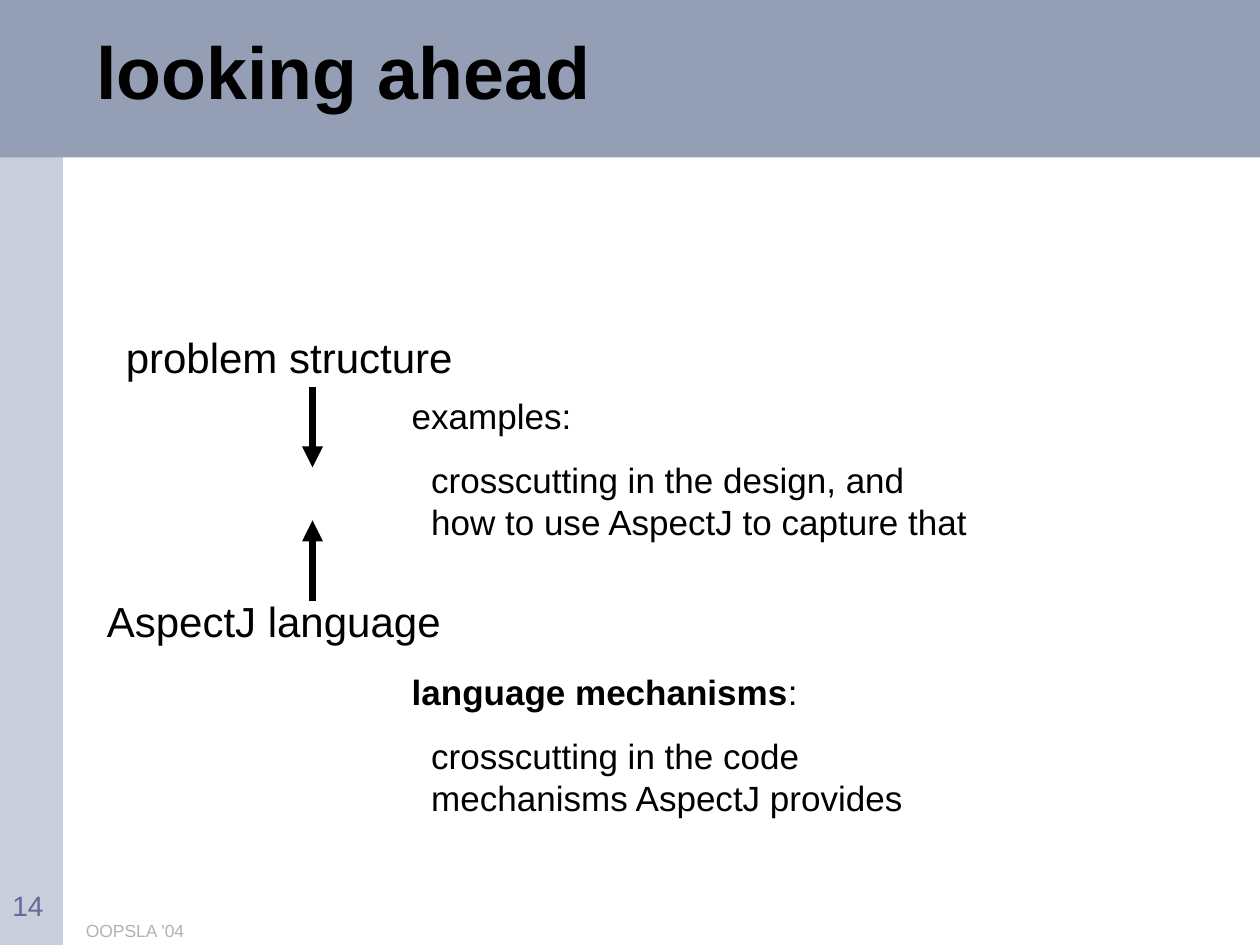
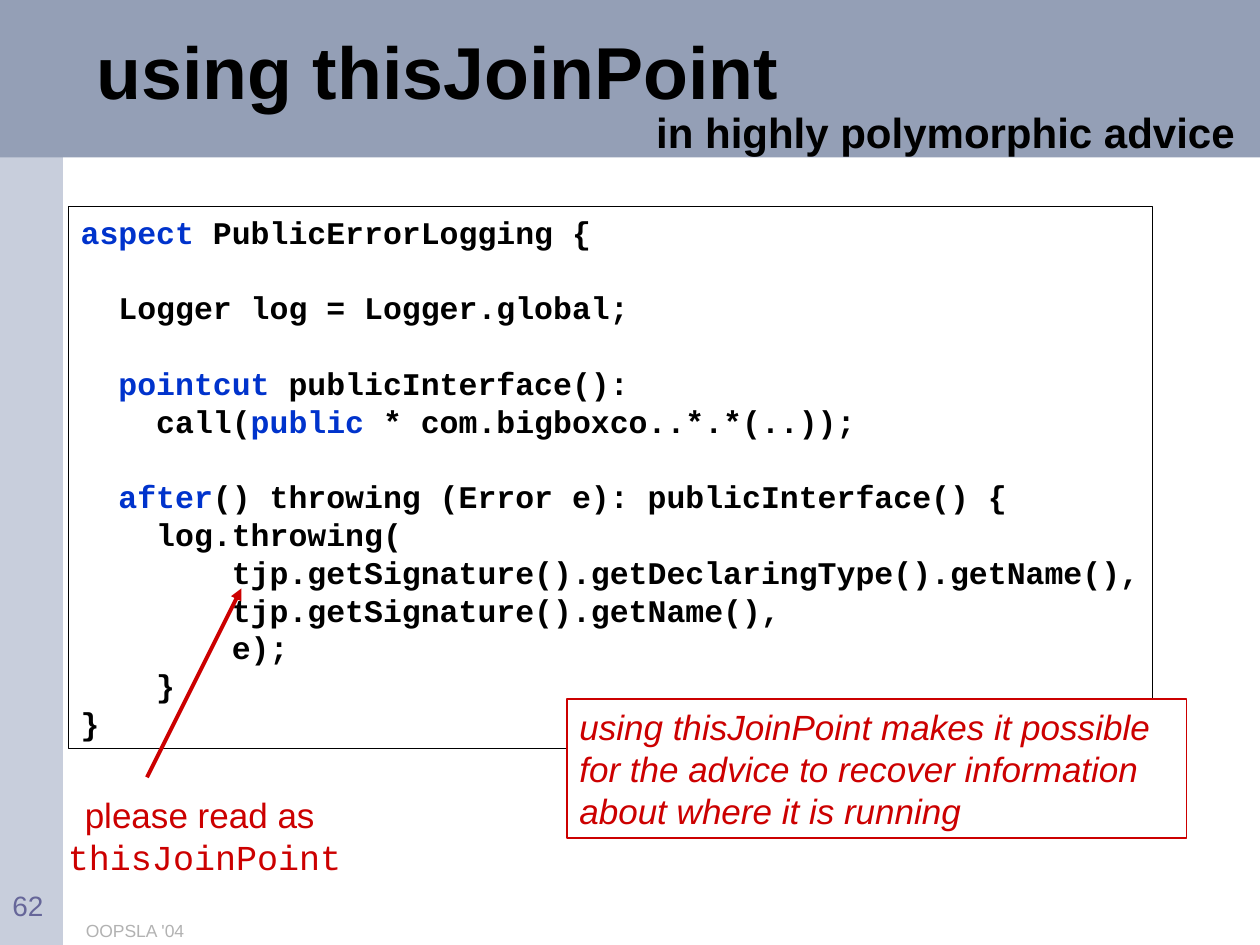
from dataclasses import dataclass

from lxml import etree
from pptx import Presentation
from pptx.dml.color import RGBColor
from pptx.enum.shapes import MSO_CONNECTOR, MSO_SHAPE
from pptx.enum.text import MSO_ANCHOR, MSO_AUTO_SIZE, PP_ALIGN
from pptx.oxml.ns import qn
from pptx.util import Pt

LEFT, CENTER, RIGHT = PP_ALIGN.LEFT, PP_ALIGN.CENTER, PP_ALIGN.RIGHT
TOP, MIDDLE = MSO_ANCHOR.TOP, MSO_ANCHOR.MIDDLE
NO_AUTOSIZE = MSO_AUTO_SIZE.NONE
RECTANGLE = MSO_SHAPE.RECTANGLE
STRAIGHT = MSO_CONNECTOR.STRAIGHT
TITLE_ONLY = 5


@dataclass(frozen=True)
class Theme:
    sans: str = "Arial"
    mono: str = "Courier New"
    black: str = "000000"
    white: str = "FFFFFF"
    side_band: str = "C8CEDC"
    top_band: str = "949FB6"
    keyword: str = "0033CC"
    accent: str = "CC0000"
    footer: str = "B2B2B2"
    number: str = "666699"
    title_size: int = 42
    label_size: int = 24
    note_size: int = 20
    code_size: int = 18
    number_size: int = 16
    footer_size: int = 10
    leading: float = 1.2
    mono_width: float = 0.6


T = Theme()
WIDTH, HEIGHT = 720, 540
TOP_BAND = (0, 0, WIDTH, 90)
SIDE_BAND = (0, 0, 36, HEIGHT)
TITLE_BOX = (48, 6, 600, 75.6)

# indent in characters, blank lines above, text before keyword, keyword, rest
CODE = [
    (0, 0, "", "aspect", " PublicErrorLogging {"),
    (2, 1, "Logger log = Logger.global;", "", ""),
    (2, 1, "", "pointcut", " publicInterface():"),
    (4, 0, "call(", "public", " * com.bigboxco..*.*(..));"),
    (2, 1, "", "after", "() throwing (Error e): publicInterface() {"),
    (4, 0, "log.throwing(", "", ""),
    (8, 0, "tjp.getSignature().getDeclaringType().getName(),", "", ""),
    (8, 0, "tjp.getSignature().getName(),", "", ""),
    (8, 0, "e);", "", ""),
    (4, 0, "}", "", ""),
    (0, 0, "}", "", ""),
]


def rgb(value):
    return RGBColor.from_string(value)


def points(*values):
    return [Pt(v) for v in values]


def style_run(r, size, color=T.black, font=T.sans, bold=False, italic=False):
    r.font.name = font
    r.font.size = Pt(size)
    r.font.color.rgb = rgb(color)
    r.font.bold = bold
    r.font.italic = italic


def style_paragraph(p, size, align=LEFT, before=0, indent=0, **run_style):
    p.alignment = align
    p.line_spacing = Pt(size * T.leading)
    p.space_before = Pt(before)
    if indent:
        p._p.get_or_add_pPr().set("marL", str(Pt(indent)))
    for r in p.runs:
        style_run(r, size, **run_style)


def prepare_frame(tf, anchor=TOP):
    tf.word_wrap = True
    tf.auto_size = NO_AUTOSIZE
    tf.vertical_anchor = anchor
    return tf


def add_text(shapes, box, text, size, **style):
    tf = prepare_frame(shapes.add_textbox(*points(*box)).text_frame)
    tf.text = text
    for p in tf.paragraphs:
        style_paragraph(p, size, **style)
    return tf


def add_rect(shapes, box, fill=None, line=None, line_width=1):
    sp = shapes.add_shape(RECTANGLE, *points(*box))
    sp.shadow.inherit = False
    if fill:
        sp.fill.solid()
        sp.fill.fore_color.rgb = rgb(fill)
    else:
        sp.fill.background()
    if line:
        sp.line.color.rgb = rgb(line)
        sp.line.width = Pt(line_width)
    else:
        sp.line.fill.background()
    return sp


def add_arrow(shapes, start, end, color, width):
    arrow = shapes.add_connector(STRAIGHT, *points(*start, *end))
    arrow.line.color.rgb = rgb(color)
    arrow.line.width = Pt(width)
    tail = etree.SubElement(arrow.get_or_add_ln(), qn("a:tailEnd"))
    tail.set("type", "triangle")
    etree.SubElement(arrow.element.spPr, qn("a:effectLst"))


def put_bands_on_master(prs, slide):
    """Build the bands on a slide, then move them behind the master's parts."""
    tree = prs.slide_master.shapes.element
    bands = [(SIDE_BAND, T.side_band), (TOP_BAND, T.top_band)]
    for i, (box, color) in enumerate(bands):
        band = add_rect(slide.shapes, box, fill=color)
        band.element.nvSpPr.cNvPr.set("id", str(100 + i))
        tree.insert(2 + i, band.element)


def add_slide(prs, title, number):
    slide = prs.slides.add_slide(prs.slide_layouts[TITLE_ONLY])
    sp = slide.shapes.title
    sp.left, sp.top, sp.width, sp.height = points(*TITLE_BOX)
    tf = prepare_frame(sp.text_frame, MIDDLE)
    tf.text = title
    p = tf.paragraphs[0]
    style_paragraph(p, T.title_size, bold=True)
    p.line_spacing = 0.85
    add_text(slide.shapes, (42, 522, 402, 18), "OOPSLA '04", T.footer_size,
             color=T.footer)
    add_text(slide.shapes, (0, 504, 48, 18), number, T.number_size,
             color=T.number)
    return slide


def add_topic(slide, box, label, label_dx, arrow_dy, notes_dy, heading, notes):
    """Group a label, its arrow and its notes inside the box."""
    x, y, w, h = box
    shapes = slide.shapes.add_group_shape().shapes
    add_text(shapes, (x + label_dx, y, 249 - 2 * label_dx, 36), label,
             T.label_size)
    arrow_x = x + 124.6
    add_arrow(shapes, (arrow_x, y + arrow_dy[0]), (arrow_x, y + arrow_dy[1]),
              T.black, 4)
    notes_dx = 174.2
    tf = add_text(shapes, (x + notes_dx, y + notes_dy, w - notes_dx,
                           h - notes_dy),
                  f"{heading}:\n{notes}", T.note_size, before=12.5)
    style_paragraph(tf.paragraphs[1], T.note_size, before=12.5, indent=11.1)
    return tf.paragraphs[0]


def add_code(slide, box):
    sp = add_rect(slide.shapes, box, line=T.black, line_width=0.25)
    tf = prepare_frame(sp.text_frame)
    tf.margin_right = 0
    line_height = T.code_size * T.leading
    for i, (indent, blanks, before, keyword, rest) in enumerate(CODE):
        p = tf.add_paragraph() if i else tf.paragraphs[0]
        style_paragraph(p, T.code_size, before=blanks * line_height,
                        indent=indent * T.code_size * T.mono_width)
        for text, color in ((before, T.black), (keyword, T.keyword),
                            (rest, T.black)):
            if text:
                r = p.add_run()
                r.text = text
                style_run(r, T.code_size, color, T.mono, bold=True)


def add_callout(slide, box, text):
    sp = add_rect(slide.shapes, box, fill=T.white, line=T.accent)
    tf = prepare_frame(sp.text_frame)
    tf.text = text
    style_paragraph(tf.paragraphs[0], T.note_size, color=T.accent, italic=True)


def add_reading_hint(slide, box):
    """Explain the abbreviation, with an arrow up into the code."""
    x, y = box[:2]
    add_arrow(slide.shapes, (x + 54, y - 5.8), (x + 108, y - 113.8),
              T.accent, 2.25)
    tf = add_text(slide.shapes, box, "please read as \vthisJoinPoint",
                  T.note_size, align=CENTER, color=T.accent)
    tf.paragraphs[0].runs[-1].font.name = T.mono


def build_looking_ahead(prs):
    slide = add_slide(prs, "looking ahead", "14")
    put_bands_on_master(prs, slide)
    heading = add_topic(
        slide, (54, 337, 594, 134.6), "AspectJ language", 0, (6.4, -39.6),
        42.4, "language mechanisms",
        "crosscutting in the code\vmechanisms AspectJ provides")
    r = heading.runs[0]
    r.text = r.text.rstrip(":")
    r.font.bold = True
    colon = heading.add_run()
    colon.text = ":"
    style_run(colon, T.note_size)
    add_topic(
        slide, (54, 185.8, 594, 128.2), "problem structure", 10.8,
        (35.3, 81.3), 36, "examples",
        "crosscutting in the design, and\vhow to use AspectJ to capture that")


def build_this_join_point(prs):
    slide = add_slide(prs, "using thisJoinPoint", "62")
    add_code(slide, (39, 118, 619.2, 309.6))
    add_callout(slide, (324, 399.6, 354, 79.2),
                "using thisJoinPoint makes it possible for the advice to "
                "recover information about where it is running")
    add_text(slide.shapes, (198, 57.6, 514.8, 36),
             "in highly polymorphic advice", T.label_size, align=RIGHT,
             bold=True)
    add_reading_hint(slide, (30, 450, 174, 55.4))


def main():
    prs = Presentation()
    prs.slide_width, prs.slide_height = points(WIDTH, HEIGHT)
    build_looking_ahead(prs)
    build_this_join_point(prs)
    prs.save("out.pptx")


if __name__ == "__main__":
    main()
